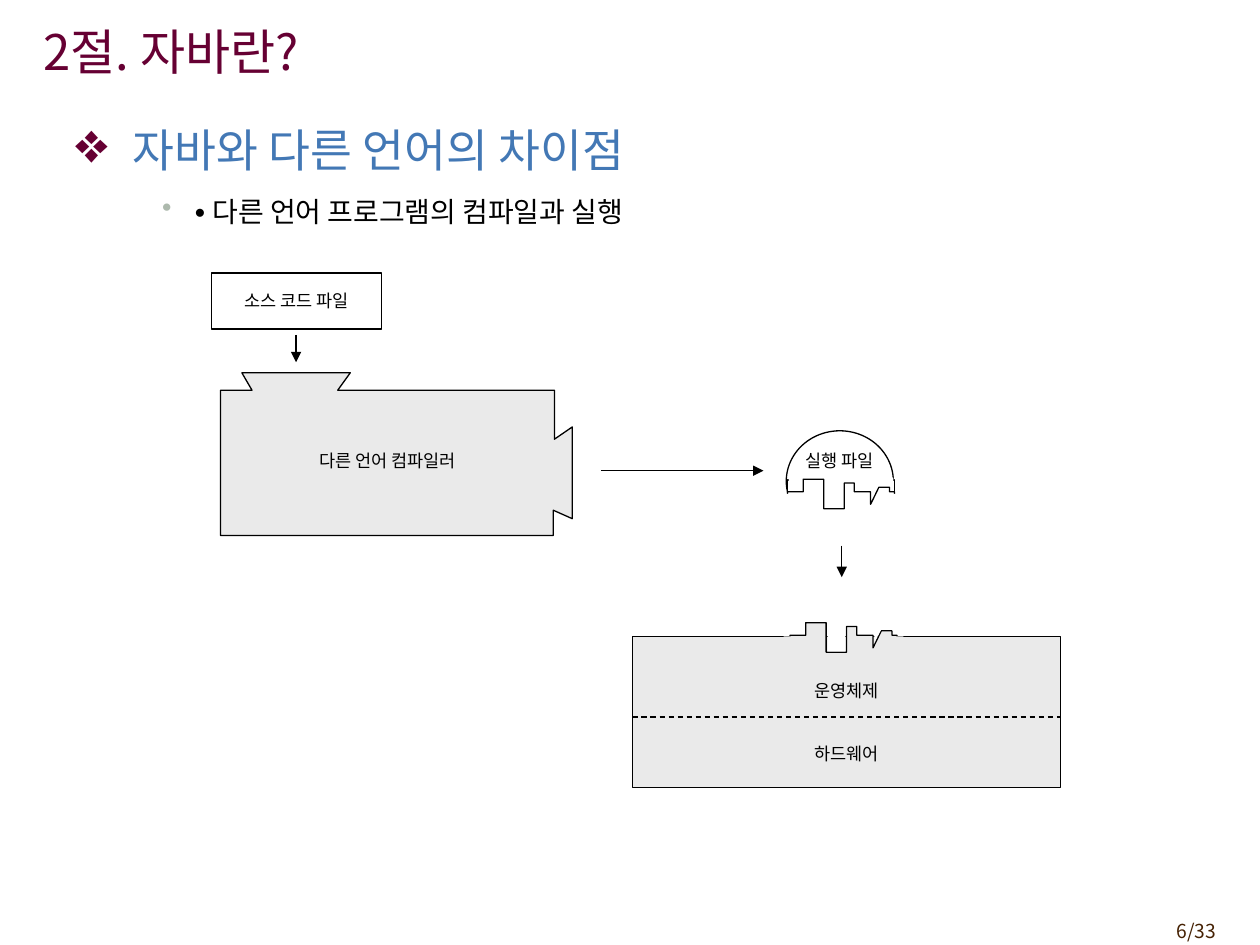
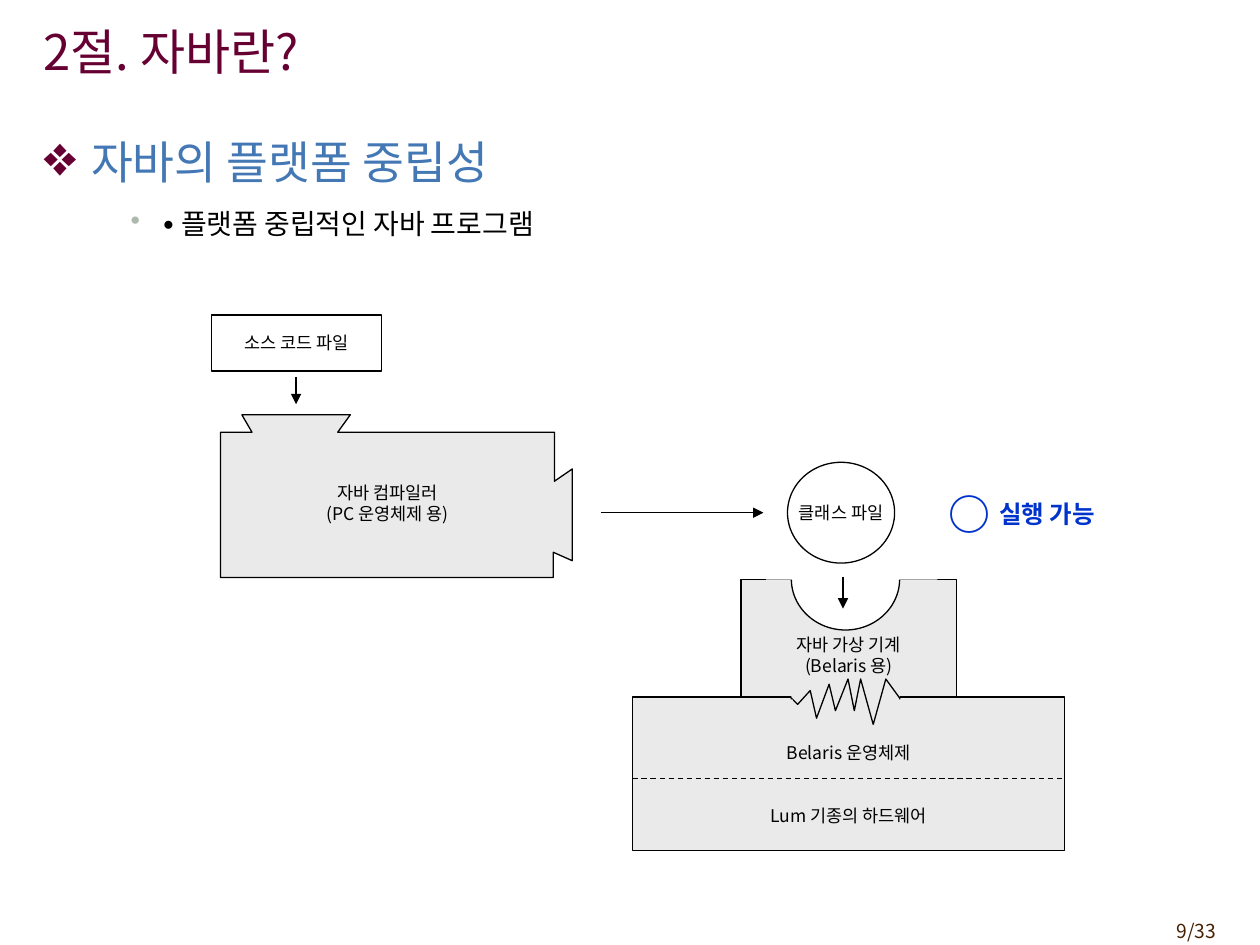
from lxml import etree
from pptx import Presentation
from pptx.dml.color import RGBColor
from pptx.enum.dml import MSO_LINE
from pptx.enum.shapes import MSO_CONNECTOR, MSO_SHAPE as SHAPE
from pptx.enum.text import MSO_ANCHOR as ANCHOR, PP_ALIGN as ALIGN
from pptx.oxml.ns import qn
from pptx.util import Pt

COLORS = {
    "title": "660033", "heading": "4378B5", "sub_bullet": "ADB9AD",
    "page": "452103", "ink": "000000", "paper": "FFFFFF",
    "machine": "EAEAEA", "result": "0033CC",
}
FONT = "Noto Sans CJK KR"
LABEL_SIZE = 10
LABEL_LINE = 12
INSET_X, INSET_Y = 7.2, 3.6

# Outline of an executable's lower edge, relative to its left end
TEETH = [(0, 0), (9, 0), (9, -7.2), (20.7, -7.2), (20.7, 9.7), (32.4, 9.7),
         (32.4, -5), (38.2, -5), (38.2, 0), (47.5, 0), (47.5, 7.2),
         (52.2, -2.5), (58.3, -2.5), (58.3, 0), (61.2, 0), (61.2, 19.8),
         (0, 19.8)]
COMPILER = [(138.2, 57), (200.2, 57), (193, 67), (316.8, 67), (316.8, 95),
            (327, 88), (327, 140.4), (316.2, 135.6), (316.2, 150), (126, 150),
            (126, 67), (144, 67)]
ZIGZAG = [(452.2, 398.9), (452.2, 418.3), (514.1, 418.3), (514.1, 398.9),
          (506.2, 388), (499, 414), (491.8, 388), (488.2, 406.1),
          (484.6, 388), (477.4, 406.1), (473.8, 391), (466.6, 410.4),
          (463, 394.6), (455.8, 402.5)]


def rgb(name):
    return RGBColor.from_string(COLORS[name])


def add_run(p, text, size, color, bold=False, font=FONT):
    r = p.add_run()
    r.text = text
    r.font.size, r.font.bold = Pt(size), bold
    r.font.color.rgb = rgb(color)
    r.font.name = font
    etree.SubElement(r._r.get_or_add_rPr(), qn("a:ea"), typeface=font)


def setup_frame(sp, anchor=ANCHOR.TOP, wrap=True, top=INSET_Y, bottom=INSET_Y):
    tf = sp.text_frame
    tf.word_wrap, tf.vertical_anchor = wrap, anchor
    tf.margin_left = tf.margin_right = Pt(INSET_X)
    tf.margin_top, tf.margin_bottom = Pt(top), Pt(bottom)
    return tf


def add_text(slide, box, text, size, color, bold=False, align=ALIGN.LEFT,
             anchor=ANCHOR.TOP, wrap=True):
    tf = setup_frame(slide.shapes.add_textbox(*map(Pt, box)), anchor, wrap)
    p = tf.paragraphs[0]
    p.alignment = align
    add_run(p, text, size, color, bold)


def label(sp, lines, gap=0, top=INSET_Y, bottom=INSET_Y):
    """Centre small lines in a shape; gap parts them, the insets shift them."""
    tf = setup_frame(sp, ANCHOR.MIDDLE, False, top, bottom)
    for i, line in enumerate(lines):
        p = tf.add_paragraph() if i else tf.paragraphs[0]
        p.alignment, p.line_spacing = ALIGN.CENTER, Pt(LABEL_LINE)
        if i:
            p.space_before = Pt(gap)
        add_run(p, line, LABEL_SIZE, "ink")


def paint(sp, fill, outlined):
    sp.shadow.inherit = False
    sp.fill.solid()
    sp.fill.fore_color.rgb = rgb(fill)
    if outlined:
        sp.line.color.rgb = rgb("ink")
        sp.line.width = Pt(0.75)
    else:
        sp.line.fill.background()
    return sp


def add_preset(slide, kind, box, fill="paper", outlined=True):
    return paint(slide.shapes.add_shape(kind, *map(Pt, box)), fill, outlined)


def add_polygon(slide, points, fill="paper", outlined=True, dx=0, dy=0):
    points = [(Pt(x + dx), Pt(y + dy)) for x, y in points]
    builder = slide.shapes.build_freeform(*points[0])
    builder.add_line_segments(points[1:], close=True)
    return paint(builder.convert_to_shape(), fill, outlined)


def add_u_cover(slide, outer, notch, fill):
    """Borderless U: outer is left, top, right, bottom; notch is left, right, bottom."""
    left, top, right, bottom = outer
    n_left, n_right, n_bottom = notch
    add_polygon(slide, [(left, top), (left, bottom), (right, bottom), (right, top),
                        (n_right, top), (n_right, n_bottom), (n_left, n_bottom),
                        (n_left, top)], fill, False)


def add_line(slide, x1, y1, x2, y2, arrow=True):
    """Thin black arrow, or a dashed line without a head."""
    cx = slide.shapes.add_connector(MSO_CONNECTOR.STRAIGHT,
                                    *map(Pt, (x1, y1, x2, y2)))
    cx.line.color.rgb = rgb("ink")
    cx.line.width = Pt(0.75)
    if arrow:
        etree.SubElement(cx.line._get_or_add_ln(), qn("a:tailEnd"), type="triangle")
    else:
        cx.line.dash_style = MSO_LINE.DASH
    etree.SubElement(cx._element.spPr, qn("a:effectLst"))


def bullet_paragraph(p, char, color, left, hang, space, line, percent=100):
    p.space_before = p.space_after = Pt(space)
    p.line_spacing = Pt(line)
    pPr = p._p.get_or_add_pPr()
    pPr.set("marL", str(Pt(left)))
    pPr.set("indent", str(-Pt(hang)))
    clr = etree.SubElement(pPr, qn("a:buClr"))
    etree.SubElement(clr, qn("a:srgbClr"), val=COLORS[color])
    etree.SubElement(pPr, qn("a:buSzPct"), val=str(percent * 1000))
    etree.SubElement(pPr, qn("a:buChar"), char=char)


def base_slide(prs, page, body_box, heading, topic):
    slide = prs.slides.add_slide(prs.slide_layouts[6])
    add_text(slide, (642.2, 522, 59.8, 20.9), page, 11, "page", align=ALIGN.RIGHT)
    add_text(slide, (18, 6.5, 595.4, 45.4), "2절. 자바란?", 28, "title",
             anchor=ANCHOR.MIDDLE)
    tf = setup_frame(slide.shapes.add_textbox(*map(Pt, body_box)))
    p = tf.paragraphs[0]
    bullet_paragraph(p, "❖", "title", 27, 27, 6.5, 31, percent=125)
    add_run(p, heading, 26, "heading")
    p = tf.add_paragraph()
    p.level = 2
    bullet_paragraph(p, "•", "sub_bullet", 64, 14.4, 4, 19)
    add_run(p, " • ", 16, "ink", True, "Arial")
    add_run(p, topic, 16, "ink")
    return slide


def compile_stage(slide, top, compiler_lines):
    """Source file, compiler and the arrows into and out of it."""
    label(add_preset(slide, SHAPE.RECTANGLE, (121, top, 97, 32)), ["소스 코드 파일"])
    add_line(slide, 169.2, top + 35.4, 169.2, top + 51)
    add_polygon(slide, COMPILER, "machine", dy=top)
    box = map(Pt, (142.6, top + 67.7, 157.7, 79.2))
    label(slide.shapes.add_textbox(*box), compiler_lines)
    add_line(slide, 343.4, top + 113, 436.3, top + 113)


def host_machine(slide, box, system, hardware):
    sp = add_preset(slide, SHAPE.RECTANGLE, box, "machine")
    label(sp, [system, hardware], gap=2 * LABEL_LINE, top=INSET_Y + LABEL_LINE)


def native_slide(prs):
    slide = base_slide(prs, "6/33", (36, 66.2, 647.3, 486), " 자바와 다른 언어의 차이점",
                       "다른 언어 프로그램의 컴파일과 실행")
    dome = add_preset(slide, SHAPE.OVAL, (449.3, 246.2, 61.2, 57.6))
    label(dome, ["실행 파일"], top=0, bottom=2 * LABEL_LINE)
    add_preset(slide, SHAPE.RECTANGLE, (450, 274.3, 61.2, 31))
    compile_stage(slide, 156, ["다른 언어 컴파일러"])

    host_machine(slide, (361.4, 363.6, 244.8, 86.4), "운영체제", "하드웨어")
    add_polygon(slide, TEETH, "machine", dx=451.4, dy=363)
    add_preset(slide, SHAPE.RECTANGLE, (473, 355.7, 10.1, 16.6), outlined=False)
    add_line(slide, 361.4, 409.7, 606.2, 409.7, arrow=False)
    add_preset(slide, SHAPE.RECTANGLE, (450.7, 272.9, 59.8, 5), outlined=False)
    add_u_cover(slide, (447.8, 363.6, 516.2, 388.8), (456.5, 506.9, 381.6), "machine")
    wedge = add_preset(slide, SHAPE.RIGHT_TRIANGLE, (499.7, 347.8, 10.1, 19.4),
                       outlined=False)
    wedge._element.spPr.xfrm.set("flipV", "1")

    add_polygon(slide, TEETH, dx=450, dy=281)
    add_u_cover(slide, (448.6, 282.2, 517, 308.6), (457.9, 508.3, 293.4), "paper")
    add_line(slide, 481, 311.8, 481, 329.8)


def neutral_slide(prs):
    slide = base_slide(prs, "9/33", (18, 73.4, 684, 450), "자바의 플랫폼 중립성",
                       "플랫폼 중립적인 자바 프로그램")
    jvm = add_preset(slide, SHAPE.RECTANGLE, (423.4, 331.2, 123.1, 74.2), "machine")
    label(jvm, ["자바 가상 기계", "(Belaris 용)"], top=INSET_Y + LABEL_LINE)
    host_machine(slide, (361.4, 398.2, 247, 87.8), "Belaris 운영체제",
                 "Lum 기종의 하드웨어")
    add_preset(slide, SHAPE.RECTANGLE, (452.2, 388.1, 61.9, 31), "machine", False)
    add_preset(slide, SHAPE.OVAL, (452.2, 301.7, 61.9, 58.3))
    add_preset(slide, SHAPE.RECTANGLE, (437.8, 276.5, 97.9, 54.7), outlined=False)
    add_line(slide, 361.4, 445, 608.4, 445, arrow=False)
    add_polygon(slide, ZIGZAG, "machine")
    add_u_cover(slide, (442.8, 399.6, 517, 420), (452.9, 506.9, 414.3), "machine")

    compile_stage(slide, 180, ["자바 컴파일러", "(PC 운영체제 용)"])
    add_preset(slide, SHAPE.RECTANGLE, (436.3, 275.8, 97.2, 53.3), outlined=False)
    label(add_preset(slide, SHAPE.OVAL, (450, 264.2, 61.2, 57.6)), ["클래스 파일"])
    add_text(slide, (563.8, 281.5, 69.8, 24.5), "실행 가능", 14, "result", True,
             wrap=False)
    add_text(slide, (535, 275.8, 28.8, 36), "○", 24, "result", True, wrap=False)
    add_line(slide, 481.7, 329.8, 481.7, 347.8)


def main():
    prs = Presentation()
    prs.slide_width, prs.slide_height = Pt(720), Pt(540)
    native_slide(prs)
    neutral_slide(prs)
    prs.save("out.pptx")


if __name__ == "__main__":
    main()
